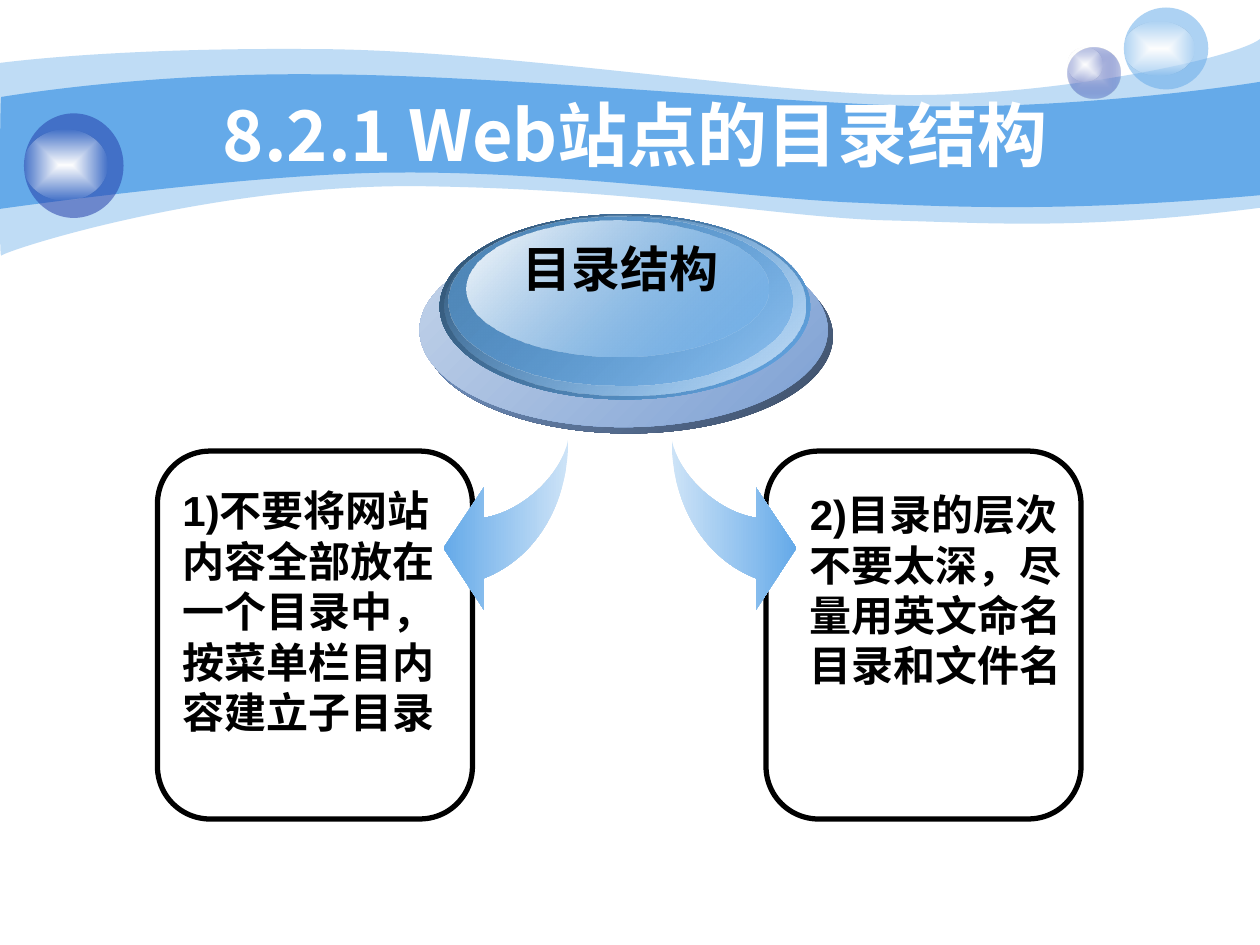
from dataclasses import dataclass
from lxml.etree import SubElement
from pptx import Presentation
from pptx.dml.color import RGBColor
from pptx.enum.shapes import MSO_SHAPE
from pptx.enum.text import MSO_ANCHOR, PP_ALIGN
from pptx.oxml.ns import qn
from pptx.util import Pt

PX = 9144


@dataclass(frozen=True)
class Theme:
    """Colours, fonts and type sizes of the slide."""

    sky: str = "65AAE9"
    pale: str = "CDE3F7"
    indigo: str = "233DA9"
    lilac: str = "C6CCE8"
    white: str = "FFFFFF"
    glow: str = "FEFEFE"
    black: str = "000000"
    title_font: str = "Noto Sans CJK SC"
    body_font: str = "Arial"
    title_size: int = 40
    hub_size: int = 28
    body_size: int = 24


THEME = Theme()
LIGHT_WAVE = [
    (0, 50), (24, 47, 107, 38, 247, 39), (386, 39, 575, 70, 699, 75),
    (822, 80, 980, 47, 1000, 31), (1000, 165), (858, 183, 787, 177, 705, 175),
    (622, 173, 515, 151, 343, 148), (172, 144, 4, 199, 1, 203),
    (-1, 208, 0, 75, 0, 50),
]
DARK_WAVE = [
    (1, 77), (2, 77, 110, 58, 248, 59), (386, 59, 595, 80, 718, 84),
    (841, 88, 976, 69, 1000, 65), (1000, 155), (853, 168, 765, 165, 682, 161),
    (599, 158, 447, 136, 317, 137), (203, 137, -2, 166, -1, 166),
    (0, 166, 0, 77, 1, 77),
]
ARROW = [
    (0, 0), (0, 55, 28, 96, 67, 111), (67, 136), (99, 87), (67, 39), (67, 63),
    (35, 58, 4, 27, 0, 0),
]
DISCS = [
    ((4, 20, 324, 154), ("3C4D66", 100), ("7DA0D3", 100)),
    ((0, 15, 324, 154), ("7DA0D3", 100), ("C4D4EA", 100)),
    ((16, 0, 294, 147), (THEME.sky, 100), ("2E4E6B", 100)),
    ((20, 1, 286, 143), ("C8E0F6", 100), (THEME.sky, 0)),
    ((23, 2, 273, 134), (THEME.sky, 48), ("4F86B7", 100)),
    ((37, 5, 240, 108), (THEME.sky, 38), (THEME.glow, 100)),
]


def emu(box):
    """Turn px lengths into EMU."""
    return [round(length * PX) for length in box]


def add_color(parent, color, opacity):
    """Append a colour with its opacity in percent."""
    element = SubElement(parent, qn("a:srgbClr"), val=color)
    if opacity < 100:
        SubElement(element, qn("a:alpha"), val=str(opacity * 1000))


def paint(shape, *stops, angle=None):
    """Fill with one colour, a linear gradient, or one from the centre if no angle."""
    shape.shadow.inherit = False
    shape.line.fill.background()
    shape.fill.solid()
    properties = shape.fill._xPr
    solid = properties.find(qn("a:solidFill"))
    if len(stops) == 1:
        for child in list(solid):
            solid.remove(child)
        add_color(solid, *stops[0])
        return
    gradient = SubElement(properties, qn("a:gradFill"), rotWithShape="1")
    properties.replace(solid, gradient)
    stop_list = SubElement(gradient, qn("a:gsLst"))
    for position, stop in zip((0, 100000), stops):
        add_color(SubElement(stop_list, qn("a:gs"), pos=str(position)), *stop)
    if angle is None:
        route = SubElement(gradient, qn("a:path"))
        route.set("path", "rect")
        SubElement(route, qn("a:fillToRect"), dict.fromkeys("ltrb", "50000"))
    else:
        SubElement(gradient, qn("a:lin"), ang=str(angle * 60000), scaled="0")


def add_ellipse(slide, box, *stops, angle=None):
    """Add a painted ellipse."""
    paint(slide.shapes.add_shape(MSO_SHAPE.OVAL, *emu(box)), *stops, angle=angle)


def add_outline(slide, box, outline, mirrored=False):
    """Add a freeform of lines and cubic curves, mirrored left to right if asked."""
    left, top, width, _ = box
    points = [
        emu((left + (width - x if mirrored else x), top + y))
        for step in outline for x, y in zip(step[::2], step[1::2])
    ]
    builder = slide.shapes.build_freeform(*points[0], scale=1.0)
    builder.add_line_segments(points[1:], close=True)
    shape = builder.convert_to_shape()
    segments = iter(list(shape._element.iter(qn("a:lnTo"))))
    for step in outline[1:]:
        segment = next(segments)
        if len(step) == 6:
            curve = segment.makeelement(qn("a:cubicBezTo"))
            segment.addprevious(curve)
            for part in (segment, next(segments), next(segments)):
                curve.append(part[0])
                part.getparent().remove(part)
    return shape


def add_text(slide, box, text, size, color=THEME.black, font=THEME.body_font,
             align=PP_ALIGN.LEFT, anchor=MSO_ANCHOR.TOP, wrap=True):
    """Add a bold one-paragraph text box without hanging punctuation."""
    frame = slide.shapes.add_textbox(*emu(box)).text_frame
    frame.word_wrap = wrap
    frame.vertical_anchor = anchor
    paragraph = frame.paragraphs[0]
    paragraph.text = text
    paragraph.alignment = align
    paragraph.font.name = font
    paragraph.font.size = Pt(size)
    paragraph.font.bold = True
    paragraph.font.color.rgb = RGBColor.from_string(color)
    paragraph._p.get_or_add_pPr().set("hangingPunct", "0")
    return paragraph


def add_sphere(slide, box, shine, *stops):
    """Add a ball with a highlight given as top offset, width and height."""
    left, top, _, _ = box
    shine_top, width, height = shine
    add_ellipse(slide, box, *stops)
    add_ellipse(slide, (left, top + shine_top, width, height),
                (THEME.white, 100), (THEME.glow, 0))


def add_header(slide, box, title):
    """Add the waves, the spheres and the title."""
    left, top, _, _ = box
    paint(add_outline(slide, box, LIGHT_WAVE), (THEME.sky, 41))
    paint(add_outline(slide, box, DARK_WAVE), (THEME.sky, 100))
    add_sphere(slide, (left + 847, top + 38, 42, 40), (0, 28, 27),
               (THEME.lilac, 100), (THEME.indigo, 31))
    add_sphere(slide, (left + 892, top + 6, 67, 65), (11, 56, 43), (THEME.sky, 53))
    add_sphere(slide, (left + 19, top + 90, 79, 83), (13, 66, 56), (THEME.indigo, 53))
    add_text(slide, (left + 100, top + 75, 808, 62), title, THEME.title_size, THEME.white,
             THEME.title_font, PP_ALIGN.CENTER, MSO_ANCHOR.MIDDLE)


def add_hub(slide, box, label):
    """Add the stacked discs with their label."""
    left, top, _, _ = box
    for (x, y, width, height), *stops in DISCS:
        add_ellipse(slide, (left + x, top + y, width, height), *stops, angle=225)
    add_text(slide, (left + 72, top + 14, 175, 57), label, THEME.hub_size,
             align=PP_ALIGN.CENTER, wrap=False)


def add_card(slide, box, text_box, text, space_before=0):
    """Add a rounded frame with text placed relative to it."""
    left, top, _, _ = box
    frame = slide.shapes.add_shape(MSO_SHAPE.ROUNDED_RECTANGLE, *emu(box))
    frame.shadow.inherit = False
    frame.fill.background()
    frame.line.color.rgb = RGBColor.from_string(THEME.black)
    frame.line.width = Pt(3)
    x, y, width, height = text_box
    paragraph = add_text(slide, (left + x, top + y, width, height), text, THEME.body_size)
    paragraph.space_before = Pt(space_before)


def add_arrow(slide, box, mirrored):
    """Add a curved arrow that points right, or left if mirrored."""
    paint(add_outline(slide, box, ARROW, mirrored), (THEME.pale, 100), (THEME.sky, 100),
          angle=180 if mirrored else 0)


def main():
    """Build the slide and save it."""
    presentation = Presentation()
    presentation.slide_width, presentation.slide_height = emu((1000, 750))
    slide = presentation.slides.add_slide(presentation.slide_layouts[6])
    add_header(slide, (0, 0, 1000, 210), "8.2.1 Web站点的目录结构")
    add_hub(slide, (333, 170, 328, 174), "目录结构")
    add_card(slide, (125, 358, 250, 292), (10, 22, 223, 250),
             "1)不要将网站内容全部放在一个目录中，按菜单栏目内容建立子目录")
    add_card(slide, (608, 358, 250, 292), (25, 25, 223, 210),
             "2)目录的层次不要太深，尽量用英文命名目录和文件名", 6)
    add_arrow(slide, (352, 348, 99, 136), mirrored=True)
    add_arrow(slide, (533, 348, 99, 136), mirrored=False)
    presentation.save("out.pptx")


if __name__ == "__main__":
    main()
